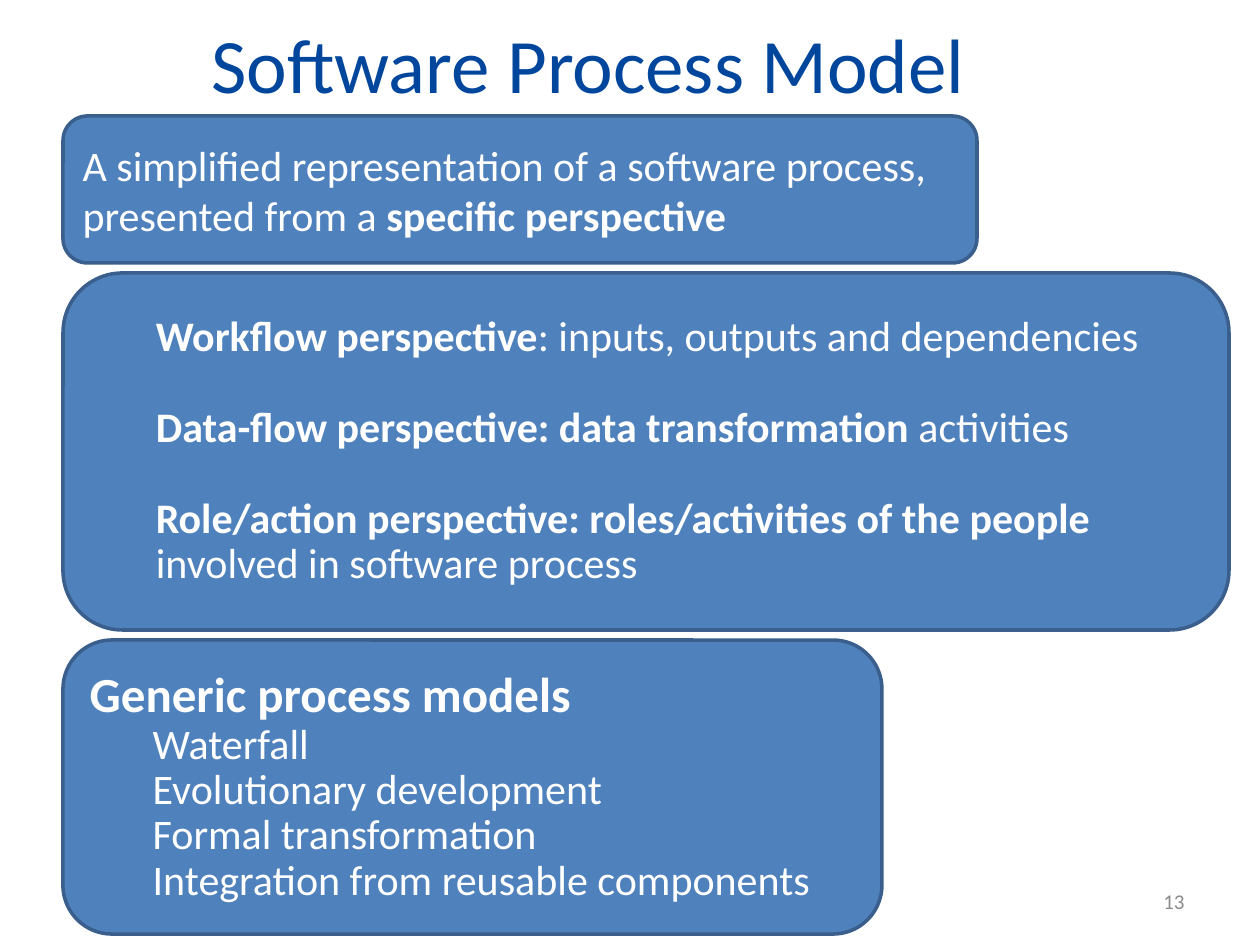
from dataclasses import dataclass

from pptx import Presentation
from pptx.dml.color import RGBColor
from pptx.enum.shapes import MSO_SHAPE
from pptx.enum.text import MSO_ANCHOR, PP_ALIGN
from pptx.util import Emu, Pt

FONT = "Calibri"
WHITE = "FFFFFF"
BLUE = "4F81BD"
EDGE = "3A5F8C"
NAVY = "00469C"
GRAY = "8C8C8C"


@dataclass
class Line:
    bold: str = ""
    plain: str = ""
    lead: str = ""
    size: int = 24
    inset: int = 0
    pitch: float = 0.9
    gap: int = 0


@dataclass
class Card:
    top: int
    width: int
    height: int
    lines: list[Line]


CARDS = [
    Card(116, 914, 147, [
        Line(lead="A simplified representation of a software process, presented from a",
             bold=" specific perspective", pitch=1.0),
    ]),
    Card(273, 1166, 357, [
        Line("Workflow perspective", ": inputs, outputs and dependencies", inset=63),
        Line("Data-flow perspective: data transformation", " activities",
             inset=63, gap=26),
        Line("Role/action perspective: roles/activities of the people ",
             "involved in software process", inset=63, gap=26),
    ]),
    Card(640, 819, 294, [
        Line("Generic process models", size=28),
        *(Line(plain=name, inset=63) for name in (
            "Waterfall", "Evolutionary development", "Formal transformation",
            "Integration from reusable components")),
    ]),
]


def px(count: int) -> Emu:
    return Emu(round(count * 914400 / 126))


def color(code: str) -> RGBColor:
    return RGBColor.from_string(code)


def style(para, size: int, code: str, align) -> None:
    para.alignment = align
    para.font.name = FONT
    para.font.size = Pt(size)
    para.font.color.rgb = color(code)


def write(para, line: Line) -> None:
    style(para, line.size, WHITE, PP_ALIGN.LEFT)
    para.line_spacing = line.pitch
    para.space_before = Pt(line.gap)
    if line.inset:
        para.level = 1
        props = para._p.get_or_add_pPr()
        props.set("marL", str(px(line.inset)))
        props.set("indent", "0")
    for text, bold in ((line.lead, False), (line.bold, True), (line.plain, False)):
        if text:
            run = para.add_run()
            run.text = text
            run.font.bold = bold


def draw(slide, card: Card) -> None:
    box = slide.shapes.add_shape(
        MSO_SHAPE.ROUNDED_RECTANGLE, px(63), px(card.top), px(card.width), px(card.height))
    box.shadow.inherit = False
    box.fill.solid()
    box.fill.fore_color.rgb = color(BLUE)
    box.line.color.rgb = color(EDGE)
    box.line.width = Pt(2)
    frame = box.text_frame
    frame.word_wrap = True
    frame.vertical_anchor = MSO_ANCHOR.MIDDLE
    for spot, line in enumerate(card.lines):
        write(frame.add_paragraph() if spot else frame.paragraphs[0], line)


def label(shape, text: str, size: int, code: str, align) -> None:
    frame = shape.text_frame
    frame.text = text
    frame.word_wrap = True
    frame.vertical_anchor = MSO_ANCHOR.MIDDLE
    style(frame.paragraphs[0], size, code, align)


def main() -> None:
    deck = Presentation()
    deck.slide_width, deck.slide_height = px(1260), px(945)
    slide = deck.slides.add_slide(deck.slide_layouts[5])
    title = slide.shapes.title
    title.left, title.top, title.width, title.height = px(53), px(0), px(1071), px(126)
    label(title, "Software Process Model", 44, NAVY, PP_ALIGN.CENTER)
    for card in CARDS:
        draw(slide, card)
    page = slide.shapes.add_textbox(px(903), px(876), px(294), px(50))
    label(page, "13", 12, GRAY, PP_ALIGN.RIGHT)
    deck.save("out.pptx")


if __name__ == "__main__":
    main()
